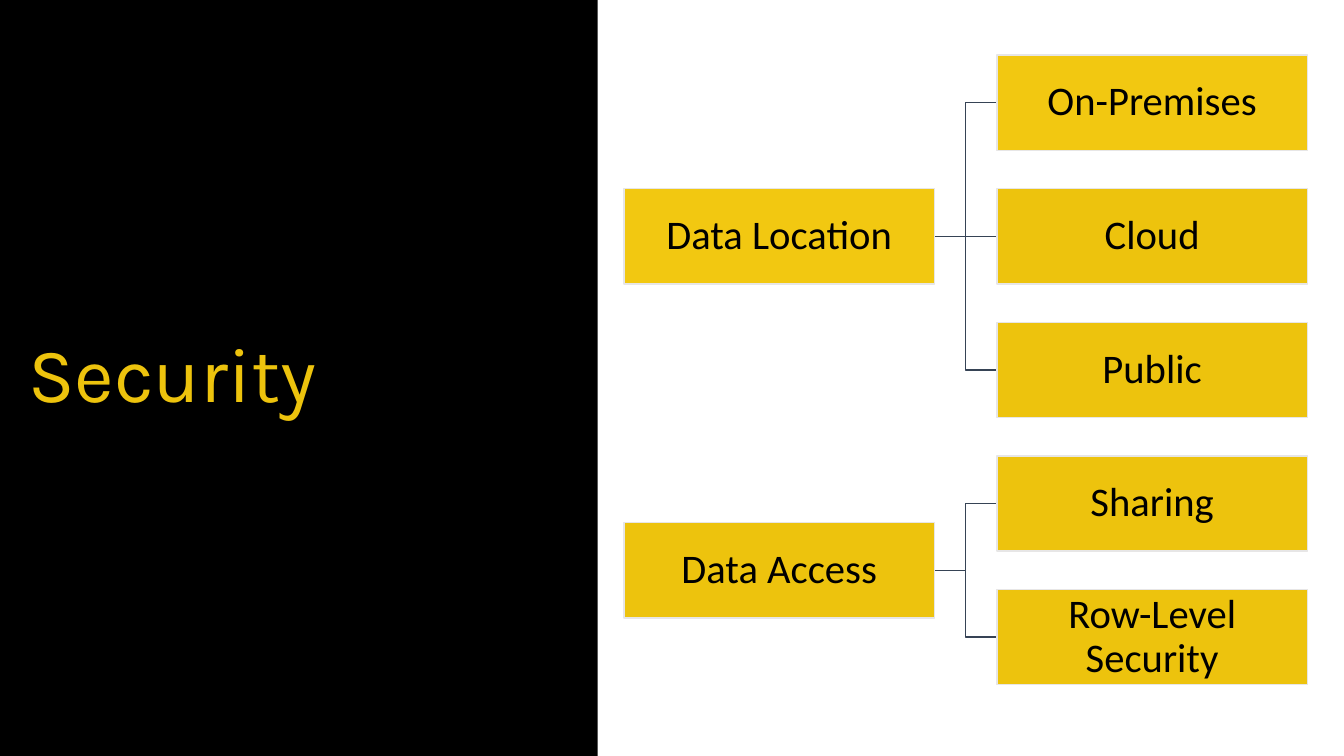
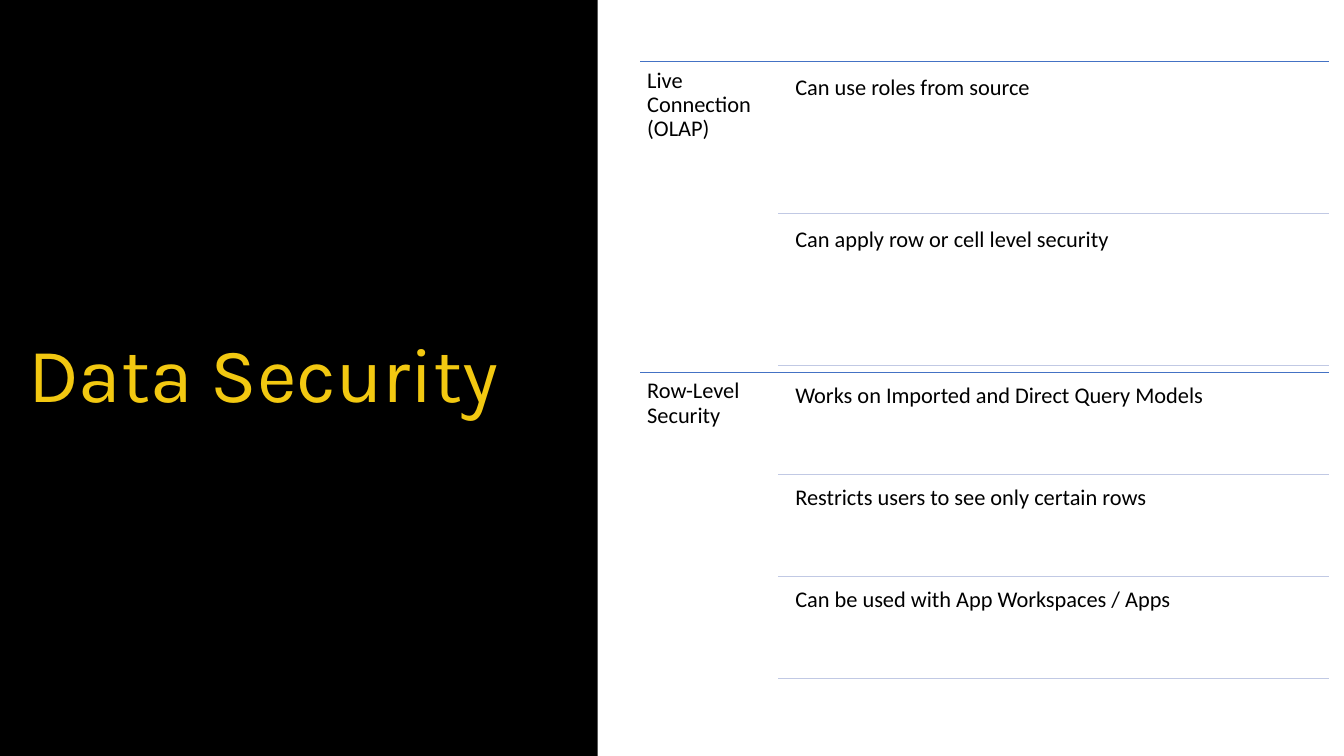
from lxml.etree import SubElement
from pptx import Presentation
from pptx.dml.color import RGBColor
from pptx.enum.shapes import MSO_CONNECTOR, MSO_SHAPE
from pptx.enum.text import MSO_ANCHOR, PP_ALIGN
from pptx.oxml.ns import qn
from pptx.util import Inches, Pt

BLACK, GOLD, AMBER = "000000", "F2C811", "EDC30D"
PALE, SLATE, BLUE, LILAC = "E7E6E6", "364355", "4472C4", "C1C9E4"


def color(value):
    return RGBColor.from_string(value)


class Page:
    """Current slide and shared style, on a grid of 100 columns by 100 rows."""

    def __init__(self, deck, title, title_color):
        self.column = deck.slide_width / 100
        self.row = deck.slide_height / 100
        self.shapes = deck.slides.add_slide(deck.slide_layouts[6]).shapes
        self.block(0, 0, 44.48, 100, BLACK)
        self.text(title, 1.35, 32.8, 41.55, 34.4, size=55, font="Karla",
                  ink=title_color, anchor=MSO_ANCHOR.MIDDLE, inset=0.1)

    def point(self, x, y):
        return round(x * self.column), round(y * self.row)

    def block(self, x, y, width, height, fill, line=None):
        box = self.shapes.add_shape(MSO_SHAPE.RECTANGLE, *self.point(x, y),
                                    *self.point(width, height))
        box.shadow.inherit = False
        box.fill.solid()
        box.fill.fore_color.rgb = color(fill)
        if line:
            self.stroke(box, line)
        else:
            box.line.fill.background()
        return box

    def stroke(self, shape, line):
        shape.line.color.rgb = color(line)
        shape.line.width = Pt(1)

    def set_text(self, box, text, size, font="Calibri", ink=BLACK, inset=0.07,
                 anchor=MSO_ANCHOR.TOP, align=PP_ALIGN.LEFT):
        frame = box.text_frame
        frame.word_wrap = True
        frame.vertical_anchor = anchor
        frame.margin_left = frame.margin_right = Inches(inset)
        frame.margin_top = frame.margin_bottom = Inches(inset)
        para = frame.paragraphs[0]
        para.text = text
        para.alignment = align
        para.line_spacing = 0.9
        para.font.size = Pt(size)
        para.font.name = font
        para.font.color.rgb = color(ink)

    def text(self, text, x, y, width, height, **style):
        box = self.shapes.add_textbox(*self.point(x, y),
                                      *self.point(width, height))
        self.set_text(box, text, **style)

    def node(self, text, x, y, width, height, fill):
        box = self.block(x, y, width, height, fill, PALE)
        self.set_text(box, text, 29, inset=0.02, anchor=MSO_ANCHOR.MIDDLE,
                      align=PP_ALIGN.CENTER)

    def rule(self, x, y, end_x, line):
        rule = self.shapes.add_connector(
            MSO_CONNECTOR.STRAIGHT, *self.point(x, y), *self.point(end_x, y))
        SubElement(rule._element.spPr, qn("a:effectLst"))
        self.stroke(rule, line)

    def branch(self, x, y, end_x, end_y):
        """Right-angled line that turns halfway between two columns."""
        if abs(y - end_y) < 0.01:
            self.rule(x, y, end_x, SLATE)
            return
        middle = (x + end_x) / 2
        outline = self.shapes.build_freeform(*self.point(x, y))
        turns = [(middle, y), (middle, end_y), (end_x, end_y)]
        outline.add_line_segments([self.point(*turn) for turn in turns],
                                  close=False)
        bend = outline.convert_to_shape()
        bend.shadow.inherit = False
        bend.fill.background()
        self.stroke(bend, SLATE)


def security_tree(deck):
    page = Page(deck, "Security", AMBER)
    parent_x, leaf_x, top, pitch = 46.43, 74.18, 7.3, 17.67
    width, height = 23.1, 12.6
    tree = [
        ("Data Location", GOLD,
         [("On-Premises", GOLD), ("Cloud", AMBER), ("Public", AMBER)]),
        ("Data Access", AMBER,
         [("Sharing", AMBER), ("Row-Level Security", AMBER)]),
    ]
    for parent, fill, leaves in tree:
        # Each parent sits halfway down its leaves
        parent_y = top + pitch * (len(leaves) - 1) / 2
        for leaf, leaf_fill in leaves:
            page.branch(parent_x + width, parent_y + height / 2,
                        leaf_x, top + height / 2)
            page.node(leaf, leaf_x, top, width, height, leaf_fill)
            top += pitch
        page.node(parent, parent_x, parent_y, width, height, fill)


def data_security_list(deck):
    page = Page(deck, "Data Security", GOLD)
    left, rule_x, text_x, right = 47.63, 57.9, 58.65, 98.87
    top, height = 8.17, 41.1
    sections = [
        ("Live Connection (OLAP)",
         ["Can use roles from source",
          "Can apply row or cell level security"]),
        ("Row-Level Security",
         ["Works on Imported and Direct Query Models",
          "Restricts users to see only certain rows",
          "Can be used with App Workspaces / Apps"]),
    ]
    for label, items in sections:
        page.rule(left, top, right, BLUE)
        page.text(label, left, top, rule_x - left, height, size=16)
        # Items share the section; each gap is 5 % of an item
        count = len(items)
        item_height = height / (count + 0.05 * (count + 1))
        for index, item in enumerate(items):
            y = top + item_height * (0.05 + 1.05 * index)
            page.text(item, text_x, y, right - text_x, item_height, size=16)
            page.rule(rule_x, y + item_height, right, LILAC)
        top += height


def main():
    deck = Presentation()
    deck.slide_width, deck.slide_height = Inches(13.33), Inches(7.5)
    security_tree(deck)
    data_security_list(deck)
    deck.save("out.pptx")


if __name__ == "__main__":
    main()
